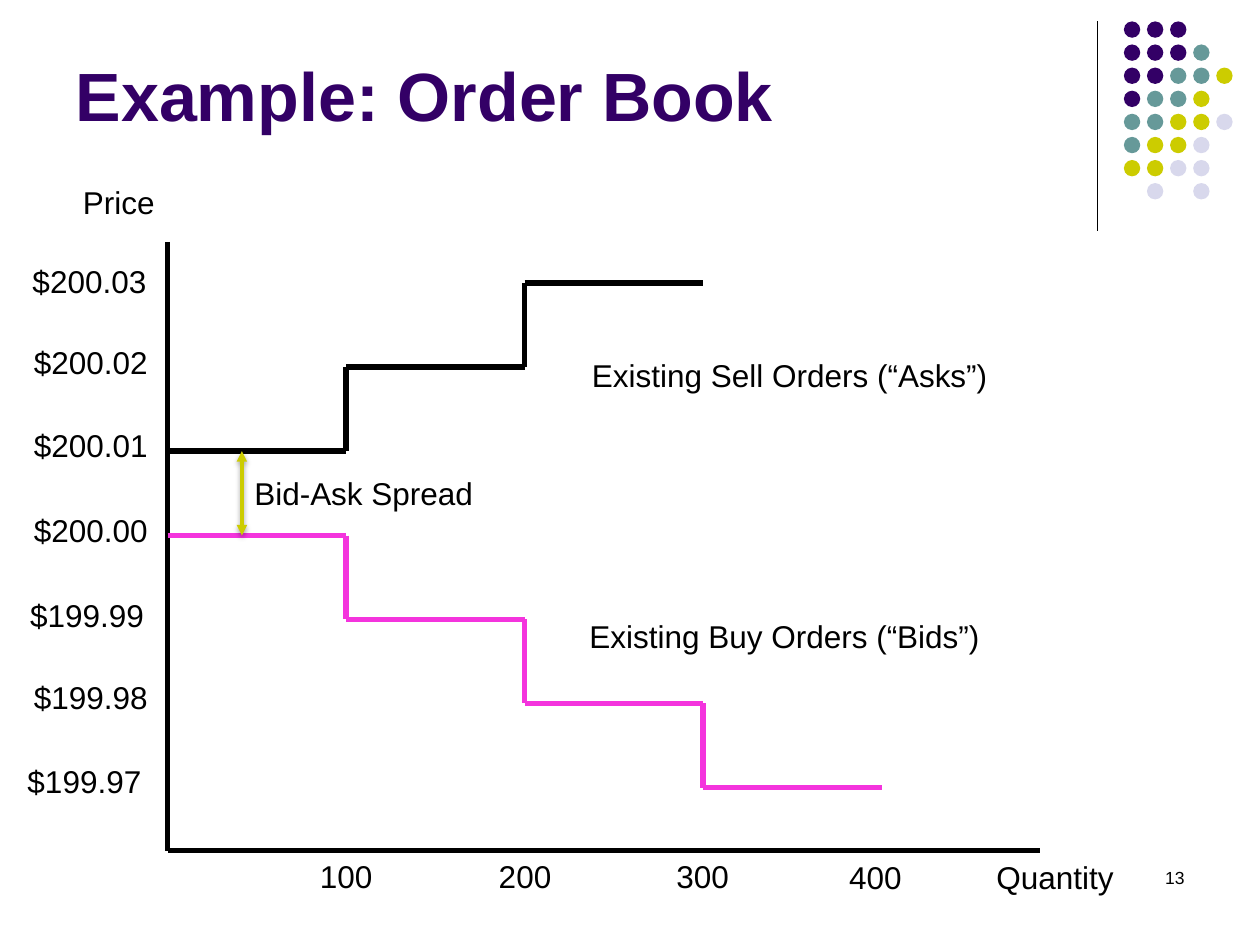
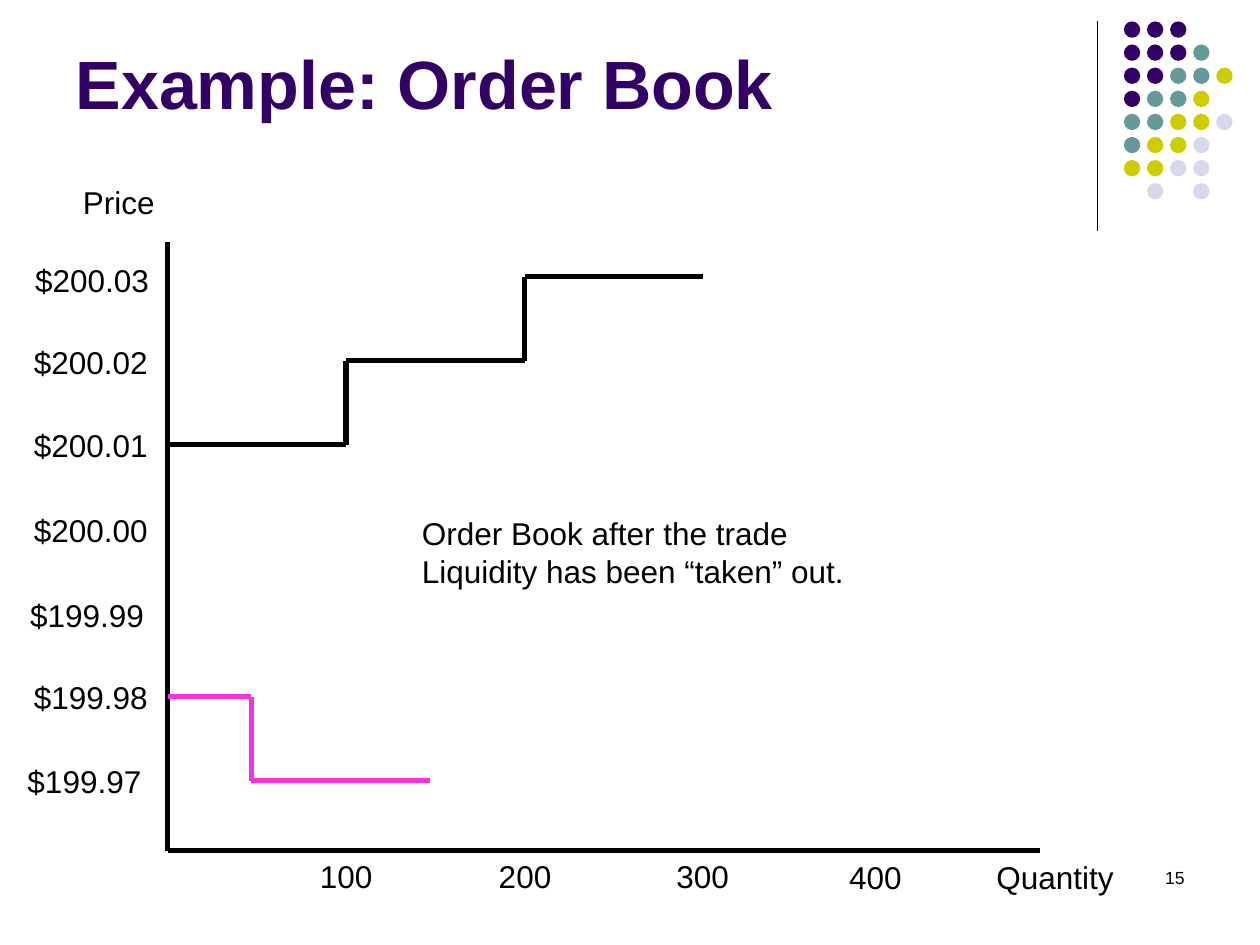
import itertools

import pptx
import pptx.dml.color
import pptx.enum.shapes
import pptx.enum.text
import pptx.oxml
import pptx.oxml.ns
import pptx.util

Inches = pptx.util.Inches
Pt = pptx.util.Pt
ALIGN = pptx.enum.text.PP_ALIGN
FIT = pptx.enum.text.MSO_AUTO_SIZE

COLORS = {
    "black": "000000",
    "plum": "330066",
    "teal": "669999",
    "lime": "CCCC00",
    "mist": "D8D8EC",
    "pink": "F434DD",
}
FONT = "Arial"
DOTS = ["PPP", "PPPT", "PPTTL", "PTTL", "TTLLM", "TLLM", "LLMM", " M M"]
DOT_COLORS = {"P": "plum", "T": "teal", "L": "lime", "M": "mist"}
DOT_GAP = 0.55 / 3

LEFT = 1.33
BASE = 6.75
LOT = 4.25 / 3
TICK = 2 / 3
PRICES = [
    ("$200.02", 0.17, 2.67),
    ("$200.01", 0.17, 3.33),
    ("$200.00", 0.17, 4.01),
    ("$199.99", 0.14, 4.68),
    ("$199.98", 0.17, 5.33),
    ("$199.97", 0.12, 6),
]
AMOUNTS = [("100", 2.44, 6.75), ("200", 3.86, 6.75), ("300", 5.27, 6.75), ("400", 6.64, 6.76)]


def rgb(name):
    return pptx.dml.color.RGBColor.from_string(COLORS[name])


def node(xml):
    return pptx.oxml.parse_xml(xml.replace(" ", f" {pptx.oxml.ns.nsdecls('a')} ", 1))


class Deck:
    def __init__(self):
        self.prs = pptx.Presentation()
        self.prs.slide_width = Inches(10)
        self.prs.slide_height = Inches(7.5)
        self.slide = None

    def start(self, title, height, number):
        self.slide = self.prs.slides.add_slide(self.prs.slide_layouts[5])
        self.line(8.71, 0.17, 8.71, 1.83, width=0.75)
        self.dots()
        self.title(title, height)
        self.text(number, 7.17, 6.83, 2.33, 0.5, size=10, align=ALIGN.RIGHT, fit=FIT.NONE, wrap=True)

    def style(self, frame, size, color, align, bold=False):
        for para in frame.paragraphs:
            para.alignment = align
            for run in para.runs:
                run.font.name = FONT
                run.font.size = Pt(size)
                run.font.bold = bold
                run.font.color.rgb = rgb(color)

    def title(self, text, height):
        shape = self.slide.shapes.title
        shape.left, shape.top = Inches(0.5), Inches(0.13)
        shape.width, shape.height = Inches(8.25), Inches(height)
        frame = shape.text_frame
        frame.text = text
        frame.auto_size = FIT.NONE
        frame.vertical_anchor = pptx.enum.text.MSO_ANCHOR.BOTTOM
        self.style(frame, 39, "plum", ALIGN.LEFT, bold=True)

    def text(self, text, left, top, width, height=0.4, size=18, align=ALIGN.LEFT,
             fit=FIT.SHAPE_TO_FIT_TEXT, wrap=False):
        box = self.slide.shapes.add_textbox(Inches(left), Inches(top), Inches(width), Inches(height))
        frame = box.text_frame
        frame.text = text
        frame.word_wrap = wrap
        frame.auto_size = fit
        self.style(frame, size, "black", align)

    def line(self, x1, y1, x2, y2, color="black", width=3):
        line = self.slide.shapes.add_connector(
            pptx.enum.shapes.MSO_CONNECTOR.STRAIGHT, Inches(x1), Inches(y1), Inches(x2), Inches(y2))
        line.line.color.rgb = rgb(color)
        line.line.width = Pt(width)
        line._element.spPr.append(node("<a:effectLst />"))
        return line

    def arrow(self, x, y1, y2):
        props = self.line(x, y1, x, y2, "lime", 2)._element.spPr
        stroke = props.find(pptx.oxml.ns.qn("a:ln"))
        for end in ("head", "tail"):
            stroke.append(node(f'<a:{end}End type="triangle"/>'))
        props.find(pptx.oxml.ns.qn("a:effectLst")).append(node(
            '<a:outerShdw blurRad="40000" dist="20000" dir="5400000" rotWithShape="0">'
            '<a:srgbClr val="000000"><a:alpha val="38000"/></a:srgbClr></a:outerShdw>'))

    def dots(self):
        for row, marks in enumerate(DOTS):
            for col, mark in enumerate(marks):
                if mark in DOT_COLORS:
                    dot = self.slide.shapes.add_shape(
                        pptx.enum.shapes.MSO_SHAPE.OVAL,
                        Inches(8.92 + col * DOT_GAP), Inches(0.17 + row * DOT_GAP),
                        Inches(0.13), Inches(0.13))
                    dot.shadow.inherit = False
                    dot.fill.solid()
                    dot.fill.fore_color.rgb = rgb(DOT_COLORS[mark])
                    dot.line.fill.background()

    def axes(self, left, top):
        self.line(LEFT, 1.92, LEFT, BASE)
        self.line(LEFT, BASE, 8.25, BASE)
        for price, x, y in [("$200.03", left, top)] + PRICES:
            self.text(price, x, y, 1.14, wrap=True)
        for amount, x, y in AMOUNTS:
            self.text(amount, x, y, 0.62)
        self.text("Price", 0.56, 1.4, 0.78)
        self.text("Quantity", 7.81, 6.76, 1.14)

    def stairs(self, lots, start, rise, color):
        edges = [LEFT + lot * LOT for lot in lots]
        for step, (x1, x2) in enumerate(itertools.pairwise(edges)):
            y = start + step * rise
            self.line(x1, y, x2, y, color)
            if step:
                self.line(x1, y - rise, x1, y, color)


def main():
    deck = Deck()

    deck.start("Example: Order Book", 0.99, "13")
    deck.axes(0.16, 2.03)
    deck.stairs(range(4), 3.58, -TICK, "black")
    deck.stairs(range(5), 4.25, TICK, "pink")
    deck.text("Existing Sell Orders (“Asks”)", 4.6, 2.78, 3.37)
    deck.text("Existing Buy Orders (“Bids”)", 4.58, 4.85, 3.33)
    deck.arrow(1.92, 3.58, 4.25)
    deck.text("Bid-Ask Spread", 1.92, 3.71, 1.96)

    deck.start("Example: Order Book", 0.9, "15")
    deck.axes(0.18, 2.02)
    deck.stairs(range(4), 3.53, -TICK, "black")
    deck.stairs([0, 0.47, 1.47], 5.53, TICK, "pink")
    deck.text("Order Book after the trade\nLiquidity has been “taken” out.", 3.25, 4.03, 3.58, 0.71)

    deck.prs.save("out.pptx")


if __name__ == "__main__":
    main()
